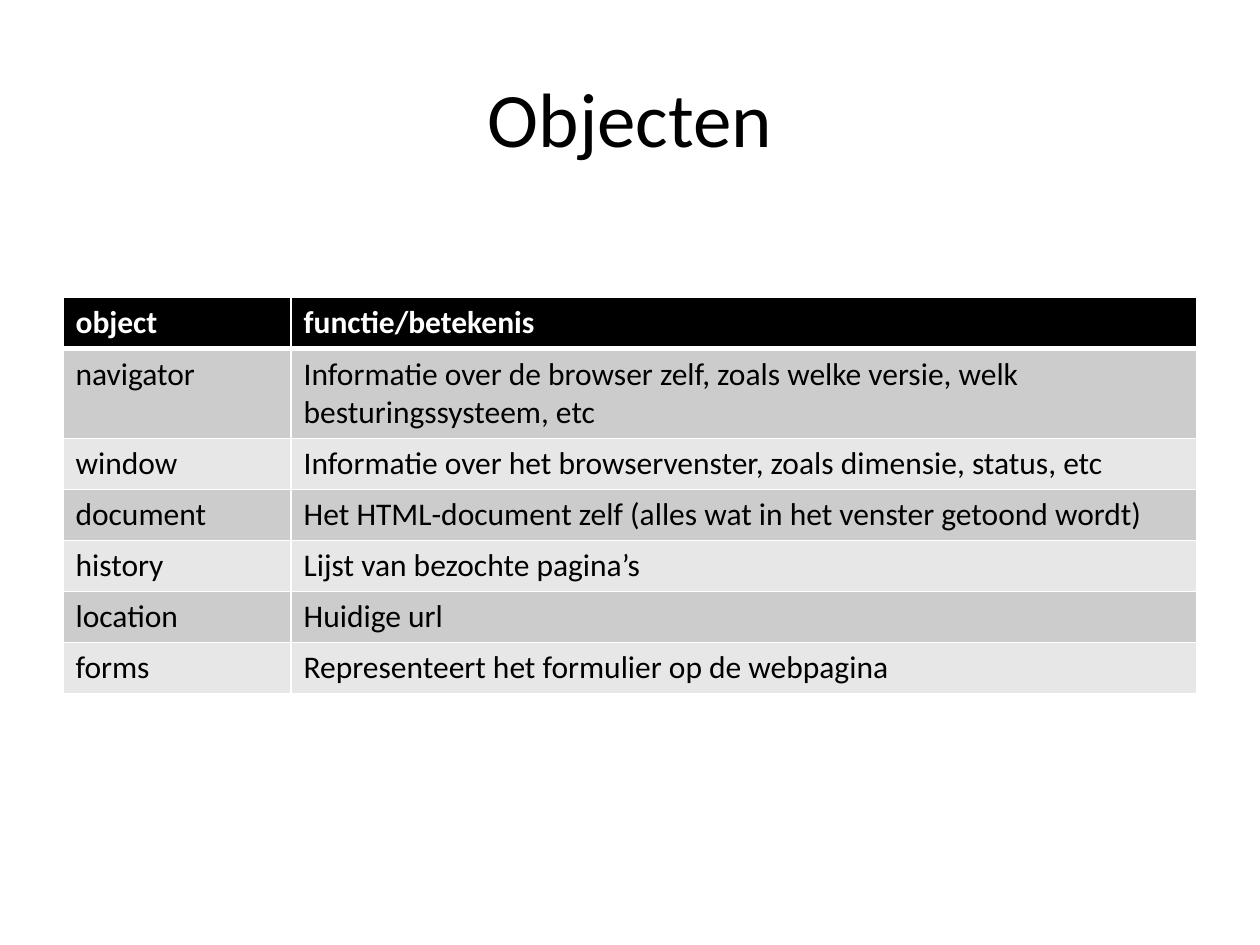
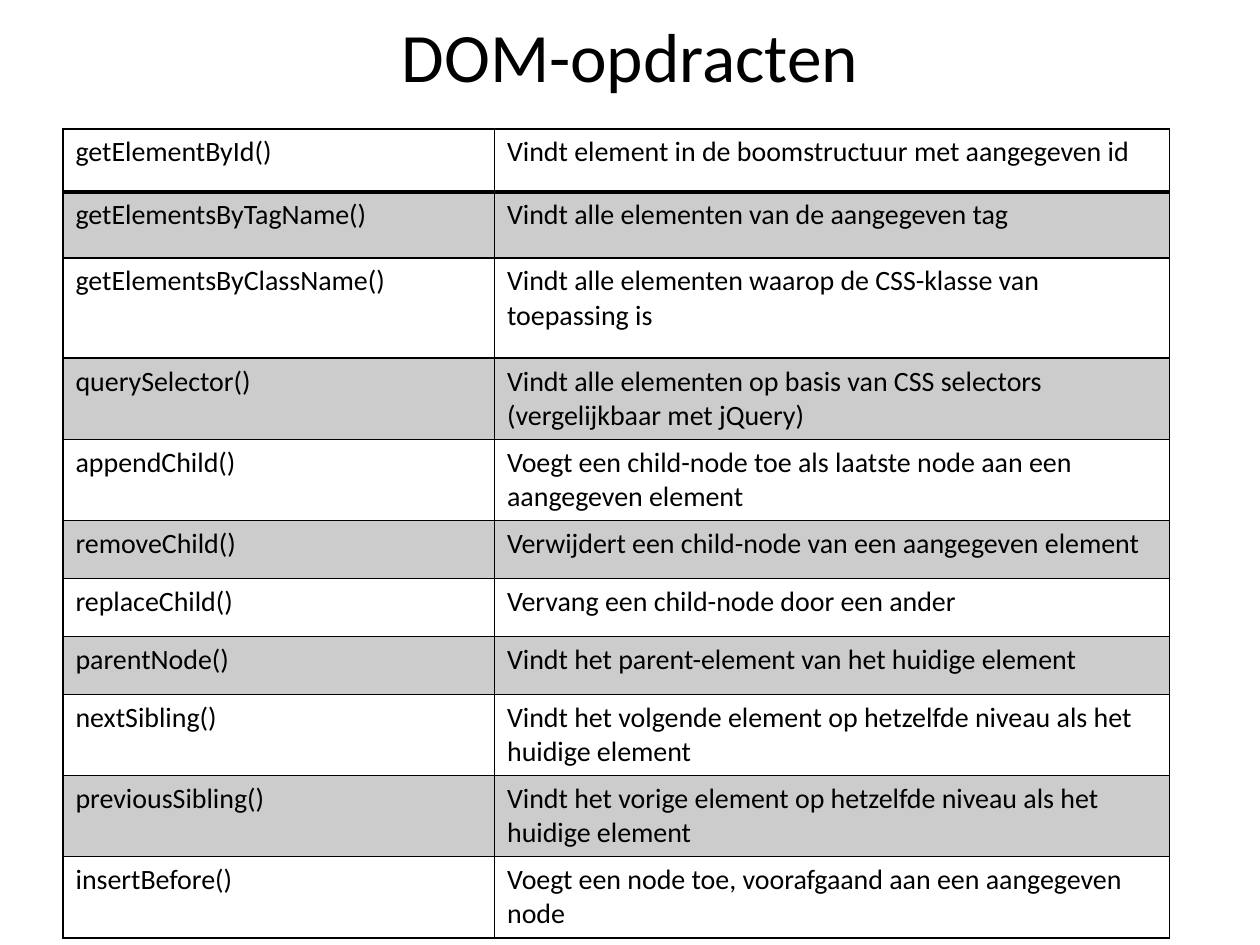
from lxml import etree
from pptx import Presentation
from pptx import util as u
from pptx.dml.color import RGBColor
from pptx.enum import text
from pptx.oxml.ns import qn

FONT = "Calibri"
BLACK, WHITE, DARK_BAND, LIGHT_BAND = "000000", "FFFFFF", "CCCCCC", "E7E7E7"

OBJECTS = [
    ("object", "functie/betekenis"),
    ("navigator", "Informatie over de browser zelf, zoals welke versie, welk besturingssysteem, etc"),
    ("window", "Informatie over het browservenster, zoals dimensie, status, etc"),
    ("document", "Het HTML-document zelf (alles wat in het venster getoond wordt)"),
    ("history", "Lijst van bezochte pagina’s"),
    ("location", "Huidige url"),
    ("forms", "Representeert het formulier op de webpagina"),
]
DOM_COMMANDS = [
    ("getElementById()", "Vindt element in de boomstructuur met aangegeven id"),
    ("getElementsByTagName()", "Vindt alle elementen van de aangegeven tag"),
    ("getElementsByClassName()", "Vindt alle elementen waarop de CSS-klasse van toepassing is"),
    ("querySelector()", "Vindt alle elementen op basis van CSS selectors (vergelijkbaar met jQuery)"),
    ("appendChild()", "Voegt een child-node toe als laatste node aan een aangegeven element"),
    ("removeChild()", "Verwijdert een child-node van een aangegeven element"),
    ("replaceChild()", "Vervang een child-node door een ander"),
    ("parentNode()", "Vindt het parent-element van het huidige element"),
    ("nextSibling()", "Vindt het volgende element op hetzelfde niveau als het huidige element"),
    ("previousSibling()", "Vindt het vorige element op hetzelfde niveau als het huidige element"),
    ("insertBefore()", "Voegt een node toe, voorafgaand aan een aangegeven node"),
]


def rgb(value):
    return RGBColor.from_string(value)


def write(frame, content, size, color=BLACK, bold=False, align=text.PP_ALIGN.LEFT):
    paragraph = frame.paragraphs[0]
    paragraph.alignment = align
    run = paragraph.add_run()
    run.text = content
    run.font.name, run.font.size, run.font.bold = FONT, u.Pt(size), bold
    run.font.color.rgb = rgb(color)


class Deck:
    """Holds the shared style and the slide being built."""

    def __init__(self):
        self.show = Presentation()
        self.show.slide_width, self.show.slide_height = u.Cm(25.4), u.Cm(19.05)
        self.slide = None

    def add_slide(self, heading, top, height, size):
        self.slide = self.show.slides.add_slide(self.show.slide_layouts[5])
        title = self.slide.shapes.title
        title.left, title.top = u.Cm(1.27), u.Cm(top)
        title.width, title.height = u.Cm(22.86), u.Cm(height)
        title.text_frame.auto_size = text.MSO_AUTO_SIZE.NONE
        title.text_frame.vertical_anchor = text.MSO_ANCHOR.MIDDLE
        write(title.text_frame, heading, size, align=text.PP_ALIGN.CENTER)

    def add_table(self, entries, top, widths, heights, size, border, rule, fills, header=None):
        table = self.slide.shapes.add_table(
            len(entries), len(widths), u.Cm(1.27), u.Cm(top),
            u.Cm(sum(widths)), u.Cm(sum(heights))).table
        table.first_row = header is not None
        table.horz_banding = False
        for column, width in zip(table.columns, widths):
            column.width = u.Cm(width)
        for index, (row, entry) in enumerate(zip(table.rows, entries)):
            row.height = u.Cm(heights[index])
            is_header = header is not None and index == 0
            fill = header if is_header else fills[index % 2]
            sides = {"L": 1, "R": 1, "T": rule if index == 1 else 1, "B": rule if index == 0 else 1}
            for cell, content in zip(row.cells, entry):
                self.add_borders(cell, border, sides)
                self.fill_cell(cell, fill)
                write(cell.text_frame, content, size, WHITE if is_header else BLACK, is_header)

    def add_borders(self, cell, color, sides):
        properties = cell._tc.get_or_add_tcPr()
        for side, width in sides.items():
            line = etree.SubElement(properties, qn(f"a:ln{side}"), w=str(u.Pt(width)))
            solid = etree.SubElement(line, qn("a:solidFill"))
            etree.SubElement(solid, qn("a:srgbClr"), val=color)

    def fill_cell(self, cell, fill):
        if fill is None:
            cell.fill.background()
            return
        color, opacity = fill
        cell.fill.solid()
        cell.fill.fore_color.rgb = rgb(color)
        if opacity < 100:
            shade = cell._tc.tcPr.find(qn("a:solidFill")).find(qn("a:srgbClr"))
            etree.SubElement(shade, qn("a:alpha"), val=str(opacity * 1000))


def main():
    deck = Deck()
    deck.add_slide("Objecten", top=0.76, height=3.18, size=44)
    deck.add_table(OBJECTS, top=6, widths=[4.6, 18.26], heights=[1.03, 1.8] + [1.03] * 5,
                   size=18, border=WHITE, rule=3, header=(BLACK, 100),
                   fills=[(LIGHT_BAND, 100), (DARK_BAND, 100)])

    single, double = 1.17, 1.63
    deck.add_slide("DOM-opdracten", top=0.08, height=2.03, size=39.6)
    deck.add_table(DOM_COMMANDS, top=2.6, widths=[8.7, 13.61],
                   heights=[1.27, 1.33, 2.02] + [double] * 2 + [single] * 3 + [double] * 3,
                   size=16, border=BLACK, rule=2, fills=[None, (BLACK, 20)])
    deck.show.save("out.pptx")


if __name__ == "__main__":
    main()
